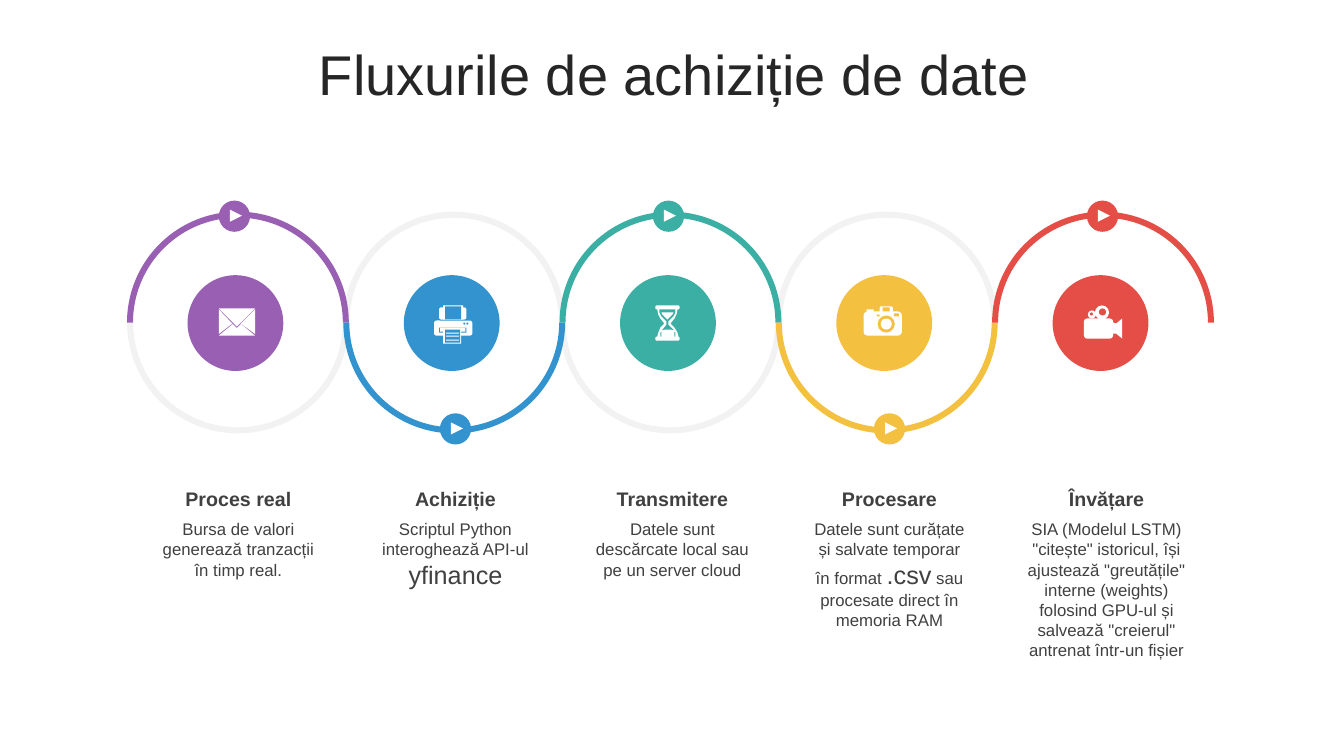
"""Build a slide with five linked rings that show the stages of data acquisition."""
from math import cos, pi, sin

from pptx import Presentation
from pptx.dml.color import RGBColor
from pptx.enum.shapes import MSO_SHAPE
from pptx.enum.text import MSO_ANCHOR, MSO_AUTO_SIZE, PP_ALIGN
from pptx.util import Inches, Pt

OVAL, RECT, ROUND = MSO_SHAPE.OVAL, MSO_SHAPE.RECTANGLE, MSO_SHAPE.ROUNDED_RECTANGLE
ARC, PLAY = MSO_SHAPE.BLOCK_ARC, MSO_SHAPE.FLOWCHART_EXTRACT
MIDDLE, CENTER, FIXED = MSO_ANCHOR.MIDDLE, PP_ALIGN.CENTER, MSO_AUTO_SIZE.NONE

WHITE = RGBColor(0xFF, 0xFF, 0xFF)
PALE = RGBColor(0xF2, 0xF2, 0xF2)
DARK = RGBColor(0x26, 0x26, 0x26)
GREY = RGBColor(0x40, 0x40, 0x40)
PURPLE = RGBColor(0x99, 0x5F, 0xB2)
BLUE = RGBColor(0x32, 0x93, 0xCF)
TEAL = RGBColor(0x3C, 0xAF, 0xA4)
GOLD = RGBColor(0xF3, 0xC0, 0x40)
RED = RGBColor(0xE5, 0x4E, 0x46)

TITLE = "Fluxurile de achiziție de date"
STAGES = [
    ("Proces real", PURPLE, [("Bursa de valori generează tranzacții în timp real.", 12)]),
    ("Achiziție", BLUE, [("Scriptul Python interoghează API-ul ", 12), ("yfinance", 18)]),
    ("Transmitere", TEAL, [("Datele sunt descărcate local sau pe un server cloud", 12)]),
    ("Procesare", GOLD, [("Datele sunt curățate și salvate temporar în format ", 12),
                         (".csv", 18), (" sau procesate direct în memoria RAM", 12)]),
    ("Învățare", RED, [("SIA (Modelul LSTM) \"citește\" istoricul, își ajustează "
                        "\"greutățile\" interne (weights) folosind GPU-ul și salvează "
                        "\"creierul\" antrenat într-un fișier", 12)]),
]

# Icon parts: a shape kind with its box, or None with closed loops; True is white.
MAIL = [(None, [
    [(53, 48.5), (67, 60), (31, 60), (45, 48.5), (49, 52.5)],
    [(67, 34), (67, 58.5), (53, 48)],
    [(31, 34), (44.5, 48), (31, 58.5)],
    [(31, 33), (67, 33), (49, 51)],
], True)]
PRINTER = [
    (ROUND, (35, 32, 27, 12), True), (RECT, (39, 30, 20, 14), True),
    (RECT, (41, 31, 16, 13), False), (ROUND, (30, 45, 38, 15), True),
    (RECT, (35, 52, 27, 5), False), (RECT, (36, 52, 25, 4), True),
    (RECT, (39, 53, 18, 15), True), (RECT, (41, 54, 15, 13), False),
    (OVAL, (59, 47, 2, 2), False), (OVAL, (62, 47, 2, 2), False),
] + [(RECT, (42, row, 13, 1), True) for row in (57, 60, 64)]
GLASS = [(None, [
    [(36, 30), (58, 30), (59, 31), (59, 33), (58, 34), (57, 34), (56, 39), (54, 43),
     (50, 48), (54, 52), (57, 57), (58, 61), (59, 62), (59, 64), (58, 65), (36, 65),
     (35, 64), (35, 62), (36, 61), (37, 61), (38, 57), (40, 52), (44, 48), (40, 43),
     (38, 39), (37, 34), (36, 34), (35, 33), (35, 31)],
    [(39, 34), (55, 34), (55, 37), (53, 41), (48, 46), (48, 49), (53, 54), (55, 57),
     (55, 61), (40, 61), (40, 57), (42, 54), (46, 49), (46, 46), (41, 41), (39, 37)],
    [(41, 37), (53, 37), (52, 39), (47, 44), (42, 39)],
    [(41, 61), (41, 55), (45, 54), (50, 54), (54, 55), (54, 61)],
], True)]
CAMERA = [
    (ROUND, (27, 36, 38, 24), True), (ROUND, (43, 31, 13, 8), True),
    (RECT, (46, 32, 7, 4), False), (RECT, (30, 34, 7, 3), True),
    (RECT, (40, 39, 3, 2), False), (RECT, (57, 38, 5, 3), False),
    (OVAL, (41, 40, 17, 17), False), (OVAL, (44, 43, 11, 11), True),
]
FILM = [
    (ROUND, (31, 43, 29, 20), True), (OVAL, (42, 30, 14, 14), True),
    (OVAL, (46, 33, 7, 7), False), (OVAL, (35, 35, 8, 8), True),
    (OVAL, (37, 37, 3, 3), False),
    (None, [[(60, 47), (63, 48), (69, 43), (69, 63), (63, 58), (60, 58)]], True),
]
ICONS = [MAIL, PRINTER, GLASS, CAMERA, FILM]

LEFT, TOP, RING, BAND = 1.26, 2.1, 2.2, 0.06
STEP = (9.84 - LEFT) / 4
DISC, KNOB, TIP = 0.95, 0.31, 0.12
TEXT, WIDE = 1.48, 1.77
SPAN = (10.09 - TEXT) / 4

deck = Presentation()
deck.slide_width, deck.slide_height = Inches(13.33), Inches(7.5)
slide = deck.slides.add_slide(deck.slide_layouts[5])
shapes = slide.shapes


def paint(shape, color):
    shape.shadow.inherit = False
    shape.fill.solid()
    shape.fill.fore_color.rgb = color
    shape.line.fill.background()


def draw(kind, box, color, turn=0):
    shape = shapes.add_shape(kind, *map(Inches, box))
    shape.rotation = turn
    paint(shape, color)
    return shape


def trace(loops, color):
    first, *rest = [[(Inches(x), Inches(y)) for x, y in loop] for loop in loops]
    path = shapes.build_freeform(*first[0])
    path.add_line_segments(first[1:])
    for loop in rest:
        path.move_to(*loop[0])
        path.add_line_segments(loop[1:])
    paint(path.convert_to_shape(), color)


def edge(even, odd):
    pts = []
    for col in range(4):
        size, sign = (odd, -1) if col % 2 else (even, 1)
        mid = LEFT + RING / 2 + col * STEP
        for step in range(41):
            turn = pi * step / 40
            pts.append((mid - size * cos(turn), TOP + RING / 2 + sign * size * sin(turn)))
    return pts


def icon(parts, left, top, color):
    for kind, form, light in parts:
        tone = WHITE if light else color
        if kind is None:
            trace([[(left + x / 100, top + y / 100) for x, y in loop] for loop in form], tone)
        else:
            x, y, wide, high = (part / 100 for part in form)
            draw(kind, (left + x, top + y, wide, high), tone)


def write(box, runs, bold=False):
    frame = shapes.add_textbox(*map(Inches, box)).text_frame
    frame.word_wrap = True
    para = frame.paragraphs[0]
    para.alignment = CENTER
    for words, size in runs:
        run = para.add_run()
        run.text = words
        style(run.font, size, GREY, bold)


def style(font, size, color, bold=False):
    font.name, font.size, font.bold = "Arial", Pt(size), bold
    font.color.rgb = color


head = shapes.title
head.left, head.top, head.width, head.height = map(Inches, (0.35, 0.37, 12.66, 0.79))
frame = head.text_frame
frame.text = TITLE
frame.auto_size, frame.vertical_anchor = FIXED, MIDDLE
para = frame.paragraphs[0]
para.alignment, para.line_spacing, para.space_before = CENTER, 0.9, Pt(0)
style(para.runs[0].font, 40, DARK)

outer, inner = RING / 2, RING / 2 - BAND
trace([edge(outer, inner) + edge(inner, outer)[::-1]], PALE)

for col, (name, color, runs) in enumerate(STAGES):
    low = col % 2
    arc = draw(ARC, (LEFT + col * STEP, TOP, RING, RING), color, 180 * low)
    for spot, value in enumerate((108, 0, 0.027)):
        arc.adjustments[spot] = value
    left, top = LEFT + 0.6 + col * STEP, 2.73
    draw(OVAL, (left, top, DISC, DISC), color)
    icon(ICONS[col], left, top, color)
    x, y = 2.17 + col * SPAN + 0.04 * low, 4.1 if low else 1.99
    draw(OVAL, (x, y, KNOB, KNOB), color)
    draw(PLAY, (x + 0.11, y + 0.09, TIP, TIP), WHITE, 90)
    left = TEXT + col * SPAN
    write((left, 4.78, WIDE, 0.34), [(name, 14)], True)
    write((left, 5.1, WIDE, 0.71), runs)

deck.save("out.pptx")
